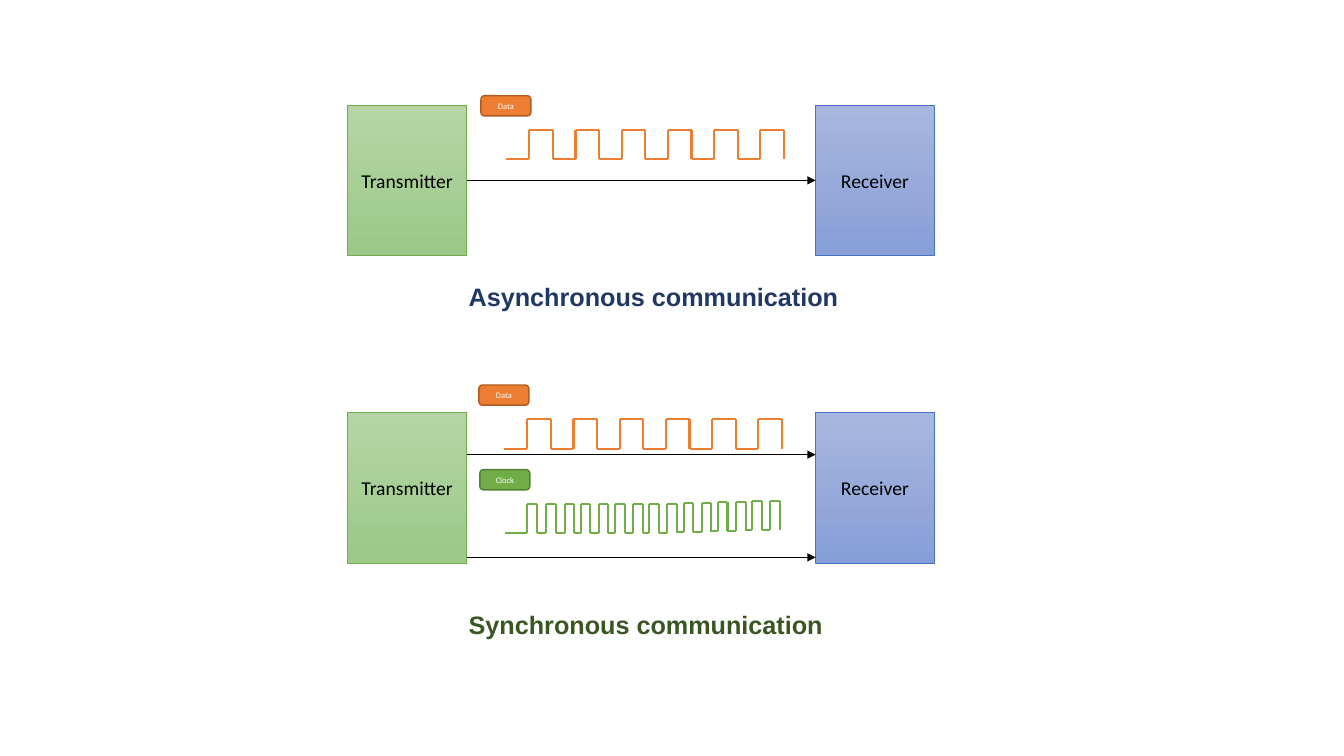
from dataclasses import dataclass

from lxml.etree import SubElement
from pptx import Presentation
from pptx.dml.color import RGBColor
from pptx.enum.shapes import MSO_CONNECTOR, MSO_SHAPE
from pptx.enum.text import MSO_ANCHOR, MSO_AUTO_SIZE, PP_ALIGN
from pptx.oxml.ns import qn
from pptx.util import Inches, Pt


@dataclass(frozen=True)
class Theme:
    black: str = "000000"
    white: str = "FFFFFF"
    orange: str = "ED7D31"
    orange_edge: str = "AF5C24"
    green: str = "70AD47"
    green_edge: str = "538035"
    blue: str = "4472C4"
    green_fade: tuple = ("B5D5A7", "9CC987")
    blue_fade: tuple = ("A8B7DF", "889ED7")
    navy: str = "203864"
    forest: str = "385723"
    body_font: str = "Calibri"
    title_font: str = "Arial"
    device_size: int = 14
    tag_size: int = 6
    title_size: int = 18
    thin: float = 0.5
    edge: float = 1
    signal: float = 1.5


class Diagram:
    """Draws on one slide; lengths are columns and rows of a 0.1 inch grid."""

    CELL = Inches(0.1)

    def __init__(self, slide, theme):
        self.shapes = slide.shapes
        self.theme = theme

    def cells(self, *lengths):
        return [round(length * self.CELL) for length in lengths]

    def label(self, frame, text, font, size, color, bold=False, align=PP_ALIGN.CENTER):
        frame.text = text
        paragraph = frame.paragraphs[0]
        paragraph.alignment = align
        style = paragraph.runs[0].font
        style.name, style.size, style.bold = font, Pt(size), bold
        style.color.rgb = RGBColor.from_string(color)

    def box(self, preset, place, edge, edge_width, text, size, color):
        shape = self.shapes.add_shape(preset, *self.cells(*place))
        shape.shadow.inherit = False
        shape.line.color.rgb = RGBColor.from_string(edge)
        shape.line.width = Pt(edge_width)
        shape.text_frame.vertical_anchor = MSO_ANCHOR.MIDDLE
        self.label(shape.text_frame, text, self.theme.body_font, size, color)
        return shape

    def device(self, col, row, text, fade, edge):
        t = self.theme
        device = self.box(MSO_SHAPE.RECTANGLE, (col, row, 11.75, 14.9),
                          edge, t.thin, text, t.device_size, t.black)
        device.fill.gradient()
        device.fill.gradient_angle = 270
        for stop, color, position in zip(device.fill.gradient_stops, fade, (0, 1)):
            stop.color.rgb = RGBColor.from_string(color)
            stop.position = position

    def tag(self, col, row, text, color, edge):
        t = self.theme
        tag = self.box(MSO_SHAPE.ROUNDED_RECTANGLE, (col, row, 4.95, 2),
                       edge, t.edge, text, t.tag_size, t.white)
        tag.fill.solid()
        tag.fill.fore_color.rgb = RGBColor.from_string(color)

    def line(self, start, end, color, width, arrow=False):
        line = self.shapes.add_connector(MSO_CONNECTOR.STRAIGHT, *self.cells(*start, *end))
        line.line.color.rgb = RGBColor.from_string(color)
        line.line.width = Pt(width)
        properties = line._element.spPr
        if arrow:
            SubElement(properties.find(qn("a:ln")), qn("a:tailEnd"), type="triangle")
        SubElement(properties, qn("a:effectLst"))

    def link(self, row):
        self.line((46.3, row), (80.9, row), self.theme.black, self.theme.thin, arrow=True)

    def wave(self, start, rises, tops, width, color):
        """Square wave: a low stretch, then up, across and down per pulse."""
        height = 2.9
        low = start
        for rise, top in zip(rises, tops):
            foot = top + height
            fall = rise + width
            corners = [(low, foot), (rise, foot), (rise, top), (fall, top), (fall, foot)]
            for begin, end in zip(corners, corners[1:]):
                self.line(begin, end, color, self.theme.signal)
            low = fall

    def title(self, row, columns, text, color):
        box = self.shapes.add_textbox(*self.cells(45.5, row, columns, 4))
        box.text_frame.word_wrap = True
        box.text_frame.auto_size = MSO_AUTO_SIZE.SHAPE_TO_FIT_TEXT
        self.label(box.text_frame, text, self.theme.title_font, self.theme.title_size,
                   color, bold=True, align=PP_ALIGN.LEFT)


presentation = Presentation()
presentation.slide_width, presentation.slide_height = Inches(13.33), Inches(7.5)
theme = Theme()
diagram = Diagram(presentation.slides.add_slide(presentation.slide_layouts[6]), theme)

# Transmitters and receivers
for device_row in (10.45, 40.95):
    diagram.device(34.5, device_row, "Transmitter", theme.green_fade, theme.green)
    diagram.device(80.9, device_row, "Receiver", theme.blue_fade, theme.blue)

# Links between them
for link_row in (17.9, 45.1, 55.3):
    diagram.link(link_row)

# Data signals
for start, top, tag_col, tag_row in ((50.2, 12.9, 47.7, 9.5), (50, 41.6, 47.5, 38.2)):
    data_rises = [start + 2.3 + 4.58 * pulse for pulse in range(6)]
    diagram.wave(start, data_rises, [top] * 6, 2.35, theme.orange)
    diagram.tag(tag_col, tag_row, "Data", theme.orange, theme.orange_edge)

# Clock signal: one pulse, then seven pairs; the last three pairs climb slightly
clock_rises = [52.3] + [54.2 + 3.4 * pair + shift for pair in range(7) for shift in (0, 1.8)]
clock_tops = [50 - 0.1 * max(0, (pulse - 7) // 2) for pulse in range(15)]
diagram.wave(50.1, clock_rises, clock_tops, 0.95, theme.green)
diagram.tag(47.6, 46.6, "Clock", theme.green, theme.green_edge)

# Titles
diagram.title(27.4, 66.7, "Asynchronous communication", theme.navy)
diagram.title(60, 39.3, "Synchronous communication", theme.forest)

presentation.save("out.pptx")
